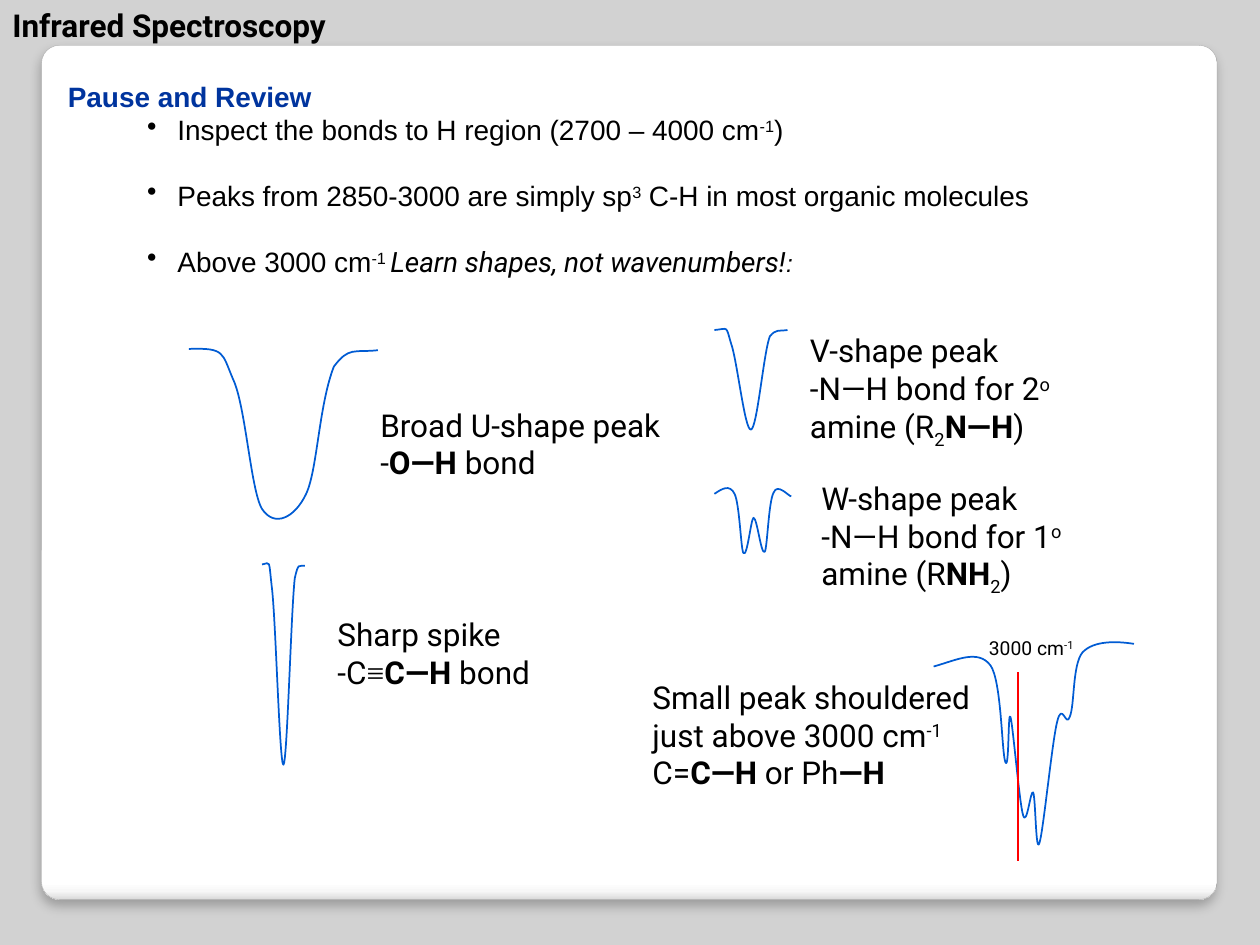
from dataclasses import dataclass

import pptx
import pptx.util
from lxml import etree
from pptx.dml.color import RGBColor
from pptx.enum.shapes import MSO_CONNECTOR, MSO_SHAPE
from pptx.enum.text import MSO_AUTO_SIZE
from pptx.oxml.ns import qn
from pptx.util import Inches, Pt


@dataclass(frozen=True)
class Theme:
    background: str = "D2D2D2"
    card_stops: tuple = ((0, "FFFFFF"), (98, "FFFFFF"), (99, "F7F7F7"), (100, "DADADA"))
    card_line: str = "A4A4A4"
    heading: str = "00349E"
    text: str = "000000"
    curve: str = "005BD3"
    marker: str = "FF0000"
    body_font: str = "Arial"
    label_font: str = "Roboto"
    symbol_font: str = "Times New Roman"
    large: int = 18
    body: int = 16
    punctuation: int = 14
    small: int = 11


T = Theme()
BOLD = {"bold": True}
SUP = {"baseline": 30}
SUB = {"baseline": -25}

# Each peak: a start point, then cubic segments (two controls and an end),
# in hundredths of an inch from the top left of its box.
U_SHAPE = [(0, 2), (29, 1), (26, 5), (35, 26), (45, 47), (49, 114), (58, 129),
           (68, 144), (84, 136), (93, 117), (102, 98), (103, 47), (115, 16),
           (127, 0), (131, 5), (150, 3)]
V_SHAPE = [(0, 4), (11, 3), (9, 0), (13, 14), (18, 27), (24, 84), (29, 83),
           (34, 82), (39, 22), (44, 9), (49, 3), (51, 5), (58, 4)]
SPIKE = [(0, 6), (7, 5), (5, 0), (8, 26), (11, 53), (14, 166), (17, 165),
         (20, 163), (23, 44), (26, 17), (29, 4), (29, 8), (34, 7)]
W_SHAPE = [(0, 9), (6, 5), (12, 1), (16, 9), (20, 17), (21, 53), (23, 56),
           (26, 60), (29, 29), (31, 28), (34, 28), (37, 58), (40, 55),
           (42, 52), (43, 15), (47, 8), (50, 0), (59, 11), (61, 11)]
SHOULDER = [(0, 21), (18, 16), (35, 7), (45, 20), (54, 32), (54, 90), (57, 97),
            (60, 104), (59, 54), (61, 61), (63, 68), (68, 129), (71, 139),
            (74, 149), (77, 118), (79, 121), (81, 125), (81, 171), (84, 161),
            (87, 152), (94, 81), (98, 65), (102, 48), (105, 70), (108, 61),
            (112, 52), (110, 20), (118, 10), (127, 0), (146, 1), (159, 3)]

# Each peak with its curve's corner, its label's box, wrapping and lines.
PEAKS = [
    (U_SHAPE, (1.5, 2.75), (2.92, 3.17, 2.46, 0.71), False,
     [["Broad U-shape peak"], ["-", ("O—H", BOLD), " bond"]]),
    (V_SHAPE, (5.67, 2.58), (6.33, 2.58, 2.58, 1.01), True,
     [["V-shape peak"], ["-N—H bond for 2", ("o", SUP), " amine (R", ("2", SUB),
                         ("N—H", BOLD), ")"]]),
    (SPIKE, (2.08, 4.42), (2.58, 4.83, 1.81, 0.71), False,
     [["Sharp spike"], ["-C", ("≡", {"name": T.symbol_font}), ("C—H", BOLD), " bond"]]),
    (W_SHAPE, (5.67, 3.83), (6.42, 3.75, 2.58, 1.01), True,
     [["W-shape peak"], ["-N—H bond for 1", ("o", SUP), " amine (R", ("NH", BOLD),
                         ("2", SUB), ")"]]),
]

BULLETS = [
    ["Inspect the bonds to H region (2700 – 4000 cm", ("-1", SUP), ")"],
    ["Peaks from 2850-3000 are simply sp", ("3", SUP), " C-H in most organic molecules"],
    ["Above 3000 cm", ("-1 ", SUP),
     ("Learn shapes, not wavenumbers!", {"name": T.label_font, "italic": True}),
     (":", {"size": Pt(T.punctuation), "italic": True})],
]


def rgb(color):
    return RGBColor.from_string(color)


def set_font(p, name, size, color=T.text, bold=None):
    p.font.name, p.font.size, p.font.bold = name, Pt(size), bold
    p.font.color.rgb = rgb(color)


def add_runs(p, runs):
    """Add plain strings, or (text, font settings) pairs, to a paragraph."""
    for item in runs:
        text, style = (item, {}) if isinstance(item, str) else item
        r = p.add_run()
        r.text = text
        for key, value in style.items():
            if key == "baseline":
                r.font._element.set("baseline", str(value * 1000))
            else:
                setattr(r.font, key, value)


def add_text(shapes, box, lines, name, size, wrap=False, bold=None):
    sp = shapes.add_textbox(*map(Inches, box))
    tf = sp.text_frame
    tf.word_wrap = wrap
    tf.auto_size = MSO_AUTO_SIZE.SHAPE_TO_FIT_TEXT
    for i, runs in enumerate(lines):
        p = tf.add_paragraph() if i else tf.paragraphs[0]
        add_runs(p, runs)
        set_font(p, name, size, bold=bold)
    return tf


def add_curve(shapes, corner, points):
    """Draw the outline, then turn each three line steps into one cubic."""
    left, top = corner
    pts = [(Inches(left + x / 100), Inches(top + y / 100)) for x, y in points]
    builder = shapes.build_freeform(*pts[0])
    builder.add_line_segments(pts[1:], close=False)
    sp = builder.convert_to_shape()
    path = next(sp._element.iter(qn("a:path")))
    steps = path.findall(qn("a:lnTo"))
    for i in range(0, len(steps), 3):
        cubic = etree.SubElement(path, qn("a:cubicBezTo"))
        for step in steps[i:i + 3]:
            cubic.append(step[0])
            path.remove(step)
    sp.fill.background()
    sp.line.color.rgb, sp.line.width = rgb(T.curve), Pt(1)
    sp.shadow.inherit = False


def add_color(parent, color):
    return etree.SubElement(parent, qn("a:srgbClr"), val=color)


def add_card(s, box):
    sp = s.shapes.add_shape(MSO_SHAPE.ROUNDED_RECTANGLE, *map(Inches, box))
    sp.adjustments[0] = 0.021
    sp.fill.gradient()
    sp.fill.gradient_angle = 270
    stops = next(sp._element.iter(qn("a:gsLst")))
    for stop in list(stops):
        stops.remove(stop)
    for position, color in T.card_stops:
        add_color(etree.SubElement(stops, qn("a:gs"), pos=str(position * 1000)), color)
    sp.line.color.rgb, sp.line.width = rgb(T.card_line), Pt(0.16)
    sp.shadow.inherit = False
    effects = sp._element.spPr.find(qn("a:effectLst"))
    shadow = etree.SubElement(effects, qn("a:outerShdw"), blurRad=str(Pt(6)),
                              dist=str(Pt(4)), dir="5400000", algn="t", rotWithShape="0")
    etree.SubElement(add_color(shadow, "000000"), qn("a:alpha"), val="25000")


def add_review(s, box):
    tf = add_text(s.shapes, box, [["Pause and Review"], *BULLETS], T.body_font, T.body, True)
    heading, *bullets = tf.paragraphs
    set_font(heading, T.body_font, T.body, T.heading, True)
    heading._p.get_or_add_pPr().set("marL", str(Inches(0.44)))
    for i, p in enumerate(bullets):
        pPr = p._p.get_or_add_pPr()
        pPr.set("marL", str(Inches(1.31)))
        pPr.set("indent", str(Inches(-0.24)))
        bullet = etree.Element(qn("a:buChar"), char="•")
        pPr.find(qn("a:defRPr")).addprevious(bullet)
        if i:
            p.space_before = Pt(18.4)


def add_shoulder_peak(s, corner):
    left, top = corner
    group = s.shapes.add_group_shape().shapes
    add_curve(group, corner, SHOULDER)
    x = Inches(left + 0.67)
    marker = group.add_connector(MSO_CONNECTOR.STRAIGHT, x, Inches(top + 1.75),
                                 x, Inches(top + 0.25))
    marker.line.color.rgb, marker.line.width = rgb(T.marker), Pt(1)
    etree.SubElement(marker._element.spPr, qn("a:effectLst"))
    add_text(group, (left + 0.34, top - 0.08, 0.88, 0.29),
             [["3000 cm", ("-1", SUP)]], T.label_font, T.small)
    add_text(s.shapes, (left - 2.33, top + 0.25, 2.75, 1.01),
             [["Small peak shouldered just above 3000 cm", ("-1", SUP), " C=",
               ("C—H", BOLD), " or Ph", ("—H", BOLD)]], T.label_font, T.large, True)


def main():
    prs = pptx.Presentation()
    prs.slide_width, prs.slide_height = Inches(10), Inches(7.5)
    s = prs.slides.add_slide(prs.slide_layouts[6])
    s.background.fill.solid()
    s.background.fill.fore_color.rgb = rgb(T.background)
    add_card(s, (0.33, 0.36, 9.33, 6.78))
    add_text(s.shapes, (0, 0, 3, 0.4), [["Infrared Spectroscopy"]],
             T.label_font, T.large, bold=True)
    add_review(s, (0, 0.58, 9.25, 1.72))
    for points, corner, label_box, wrap, lines in PEAKS:
        add_curve(s.shapes, corner, points)
        add_text(s.shapes, label_box, lines, T.label_font, T.large, wrap)
    add_shoulder_peak(s, (7.41, 5.08))
    prs.save("out.pptx")


if __name__ == "__main__":
    main()
